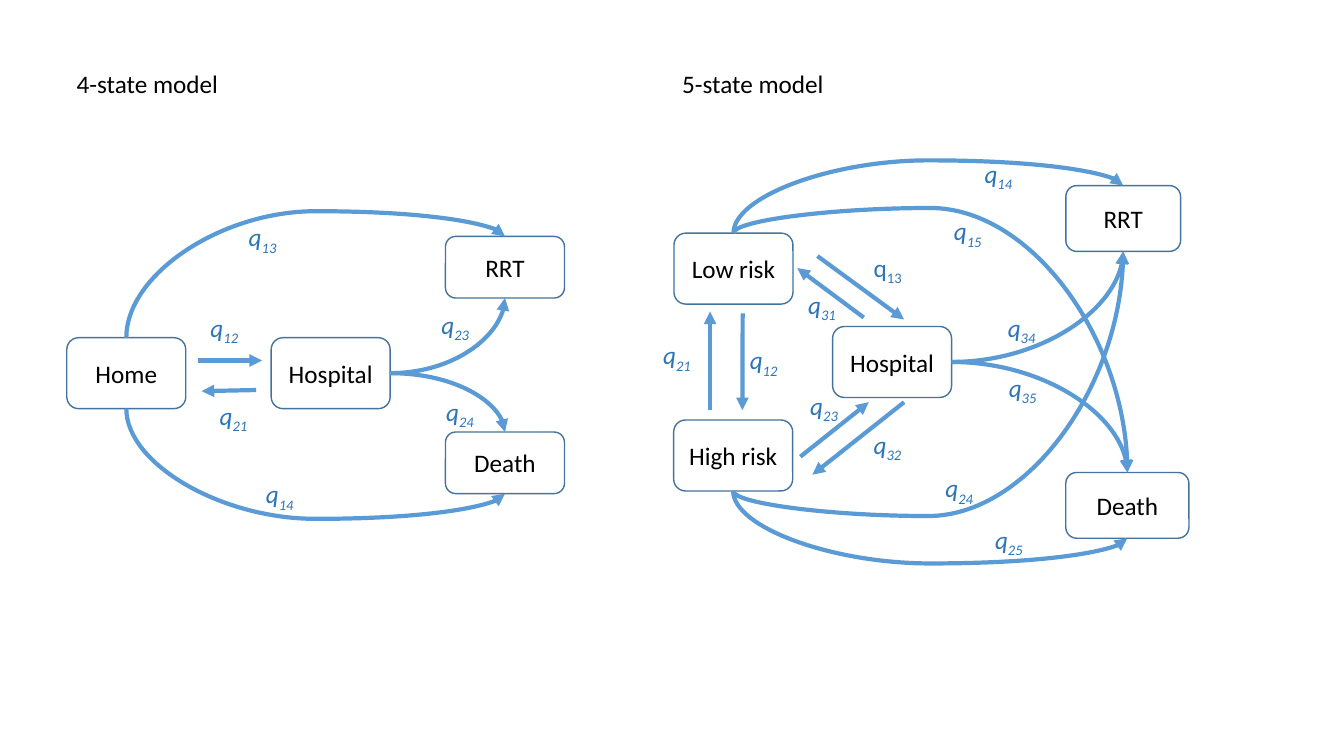
from lxml.etree import SubElement
from pptx import Presentation
from pptx.dml.color import RGBColor
from pptx.enum.shapes import MSO_CONNECTOR, MSO_SHAPE
from pptx.enum.text import MSO_ANCHOR, MSO_AUTO_SIZE, PP_ALIGN
from pptx.oxml.ns import qn
from pptx.util import Pt

COLORS = {"text": "000000", "label": "2E75B6", "arrow": "5B9BD5",
          "edge": "43739E", "fill": "FFFFFF"}
TOP, LEFT, BOTTOM, RIGHT = range(4)
BULGE = 18  # how far a hook runs past the outer of its two ends


def color(name):
    return RGBColor.from_string(COLORS[name])


def side(box, site):
    """Middle of the given side of a box."""
    x, y, w, h = box.left, box.top, box.width, box.height
    return [(x + w // 2, y), (x, y + h // 2),
            (x + w // 2, y + h), (x + w, y + h // 2)][site]


class Chart:
    def __init__(self, slide, font="Calibri", size=18):
        self.slide, self.font, self.size = slide, font, size

    def style(self, run, shade, slant=False):
        run.font.name, run.font.size = self.font, Pt(self.size)
        run.font.color.rgb = color(shade)
        run.font.italic = slant

    def state(self, words, x, y, w, h):
        box = self.slide.shapes.add_shape(
            MSO_SHAPE.ROUNDED_RECTANGLE, Pt(x), Pt(y), Pt(w), Pt(h))
        box.shadow.inherit = False
        box.fill.solid()
        box.fill.fore_color.rgb = color("fill")
        box.line.color.rgb, box.line.width = color("edge"), Pt(1)
        frame = box.text_frame
        frame.text = words
        frame.vertical_anchor = MSO_ANCHOR.MIDDLE
        frame.paragraphs[0].alignment = PP_ALIGN.CENTER
        self.style(frame.paragraphs[0].runs[0], "text")
        return box

    def text(self, x, y, w, words, wrap=True):
        box = self.slide.shapes.add_textbox(Pt(x), Pt(y), Pt(w), Pt(29))
        frame = box.text_frame
        frame.word_wrap = wrap
        frame.auto_size = MSO_AUTO_SIZE.SHAPE_TO_FIT_TEXT
        frame.text = words
        self.style(frame.paragraphs[0].runs[0], "text")
        return frame.paragraphs[0]

    def rate(self, index, x, y, slant=True):
        """Label q with the index as a subscript."""
        para = self.text(x, y, 36, "q", wrap=False)
        sub = para.add_run()
        sub.text = index
        for run in para.runs:
            self.style(run, "label", slant)
        sub.font._element.set("baseline", "-25000")

    def link(self, kind, start, end):
        line = self.slide.shapes.add_connector(kind, *start, *end)
        line.line.color.rgb, line.line.width = color("arrow"), Pt(3)
        SubElement(line.line._get_or_add_ln(), qn("a:tailEnd"), type="triangle")
        SubElement(line.element.spPr, qn("a:effectLst"))
        return line

    def arrow(self, x1, y1, x2, y2):
        self.link(MSO_CONNECTOR.STRAIGHT, (Pt(x1), Pt(y1)), (Pt(x2), Pt(y2)))

    def join(self, a, out, b, into):
        line = self.link(MSO_CONNECTOR.CURVE, side(a, out), side(b, into))
        line.begin_connect(a, out)
        line.end_connect(b, into)
        return line, line.element.spPr.find(qn("a:prstGeom"))

    def bend(self, a, b, into):
        """Quarter curve from the right side of a to the top or bottom of b."""
        geom = self.join(a, RIGHT, b, into)[1]
        geom.set("prst", "curvedConnector2")

    def hook(self, a, out, b, into):
        """Curve that leaves a upwards or downwards and turns over to b."""
        line, geom = self.join(a, out, b, into)
        (x1, y1), (x2, y2) = side(a, out), side(b, into)
        wide, rise = x2 - x1, y2 - y1
        peak = min(y1, y2) - Pt(BULGE) if out == TOP else max(y1, y2) + Pt(BULGE)
        # The preset runs sideways, so its frame is turned a quarter.
        line.width, line.height = abs(rise), wide
        line.left = (x1 + x2 - abs(rise)) // 2
        line.top = (y1 + y2 - wide) // 2
        xfrm = line.element.spPr.find(qn("a:xfrm"))
        xfrm.set("rot", "16200000" if rise > 0 else "5400000")
        xfrm.set("flipH", "1")
        xfrm.set("flipV", "0" if rise > 0 else "1")
        guides = geom.find(qn("a:avLst"))
        if guides is None:
            guides = SubElement(geom, qn("a:avLst"))
        ratio = round((peak - y1) / rise * 100000)
        SubElement(guides, qn("a:gd"), name="adj1", fmla=f"val {ratio}")


def five(chart):
    rrt = chart.state("RRT", 761.3, 132.6, 82, 47)
    death = chart.state("Death", 761.3, 337.5, 88, 47)
    high = chart.state("High risk", 481.2, 300, 85, 50.7)
    low = chart.state("Low risk", 481.4, 166.5, 85, 50.7)
    ward = chart.state("Hospital", 594.7, 233.2, 85, 50.7)
    for ends in [(507.2, 293, 507.2, 222.5), (530.5, 223.9, 530.3, 293),
                 (645.8, 287.3, 580.3, 339.1), (571.7, 326.2, 620.6, 287.3),
                 (583.9, 182.9, 645.8, 228.2), (617, 226.8, 569.5, 191.5)]:
        chart.arrow(*ends)
    chart.hook(high, BOTTOM, death, BOTTOM)
    chart.hook(high, BOTTOM, rrt, BOTTOM)
    chart.bend(ward, death, TOP)
    chart.bend(ward, rrt, BOTTOM)
    chart.hook(low, TOP, rrt, TOP)
    chart.hook(low, TOP, death, TOP)
    chart.rate("13", 617, 176.4, slant=False)
    for label in [("12", 528.5, 242.6), ("21", 466.6, 239), ("14", 696.2, 109.4),
                  ("15", 674.3, 150.5), ("25", 703.7, 370.8), ("24", 668.2, 334.1),
                  ("23", 571.7, 275), ("32", 617, 303.1), ("31", 570.2, 203),
                  ("34", 712.8, 219.6), ("35", 713.5, 262.5)]:
        chart.rate(*label)
    chart.text(480.2, 45.4, 121, "5-state model")


def four(chart):
    rrt = chart.state("RRT", 318.2, 168.9, 85, 44)
    death = chart.state("Death", 318.2, 308.6, 85, 44)
    home = chart.state("Home", 47.7, 241.2, 85, 50.7)
    ward = chart.state("Hospital", 193.7, 241.2, 85, 50.7)
    chart.hook(home, BOTTOM, death, BOTTOM)
    chart.arrow(182.9, 278.6, 144, 279.4)
    chart.arrow(141.1, 257.5, 187.2, 257.5)
    chart.bend(ward, death, TOP)
    chart.bend(ward, rrt, BOTTOM)
    chart.hook(home, TOP, rrt, TOP)
    for label in [("14", 182.9, 338.4), ("21", 149.8, 282.2), ("13", 170.6, 154.8),
                  ("23", 308.2, 217.4), ("24", 311.6, 279.4), ("12", 143.3, 219.6)]:
        chart.rate(*label)
    chart.text(47.7, 45.4, 121, "4-state model")


def main():
    deck = Presentation()
    deck.slide_width, deck.slide_height = Pt(960), Pt(540)
    chart = Chart(deck.slides.add_slide(deck.slide_layouts[6]))
    five(chart)
    four(chart)
    deck.save("out.pptx")


if __name__ == "__main__":
    main()
